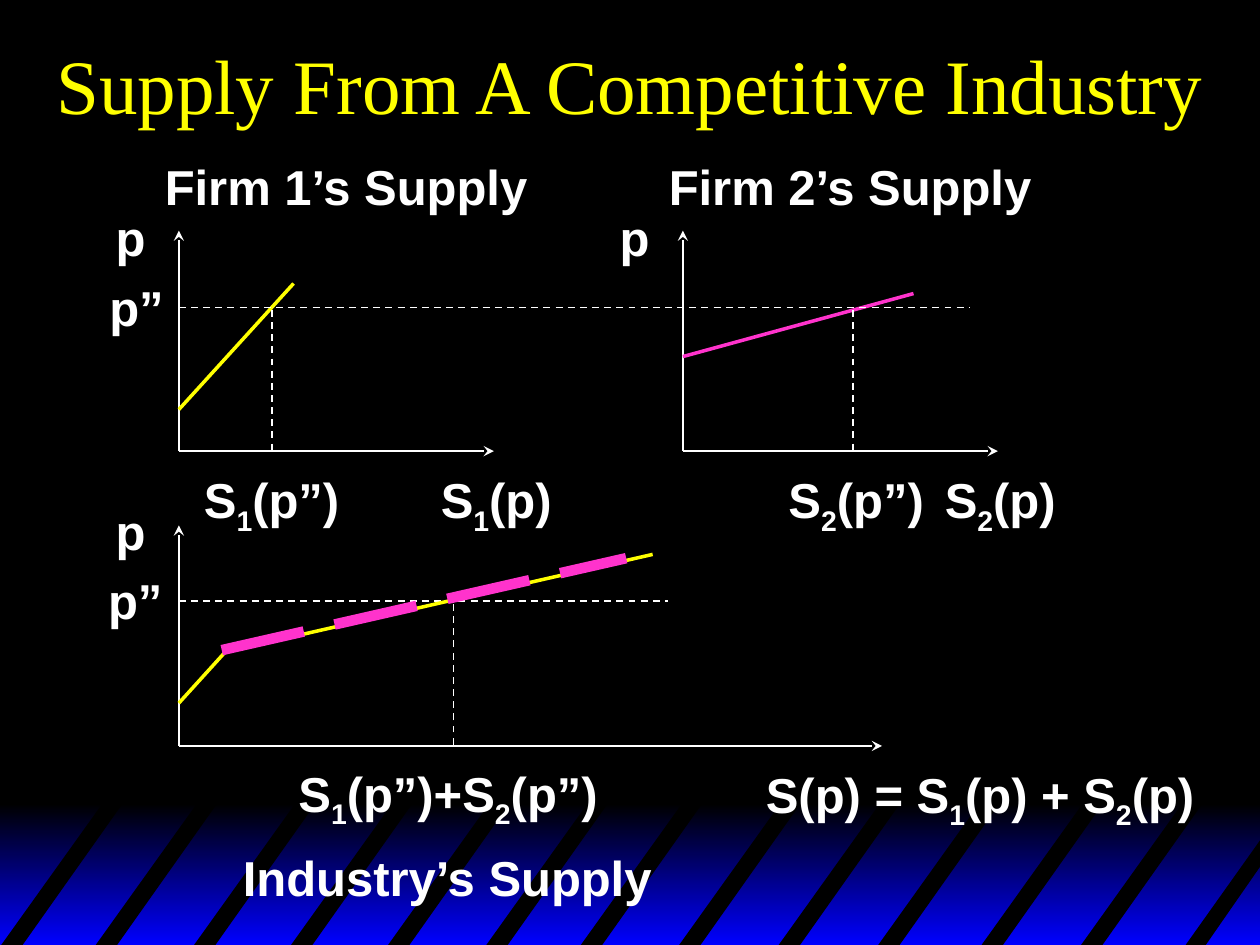
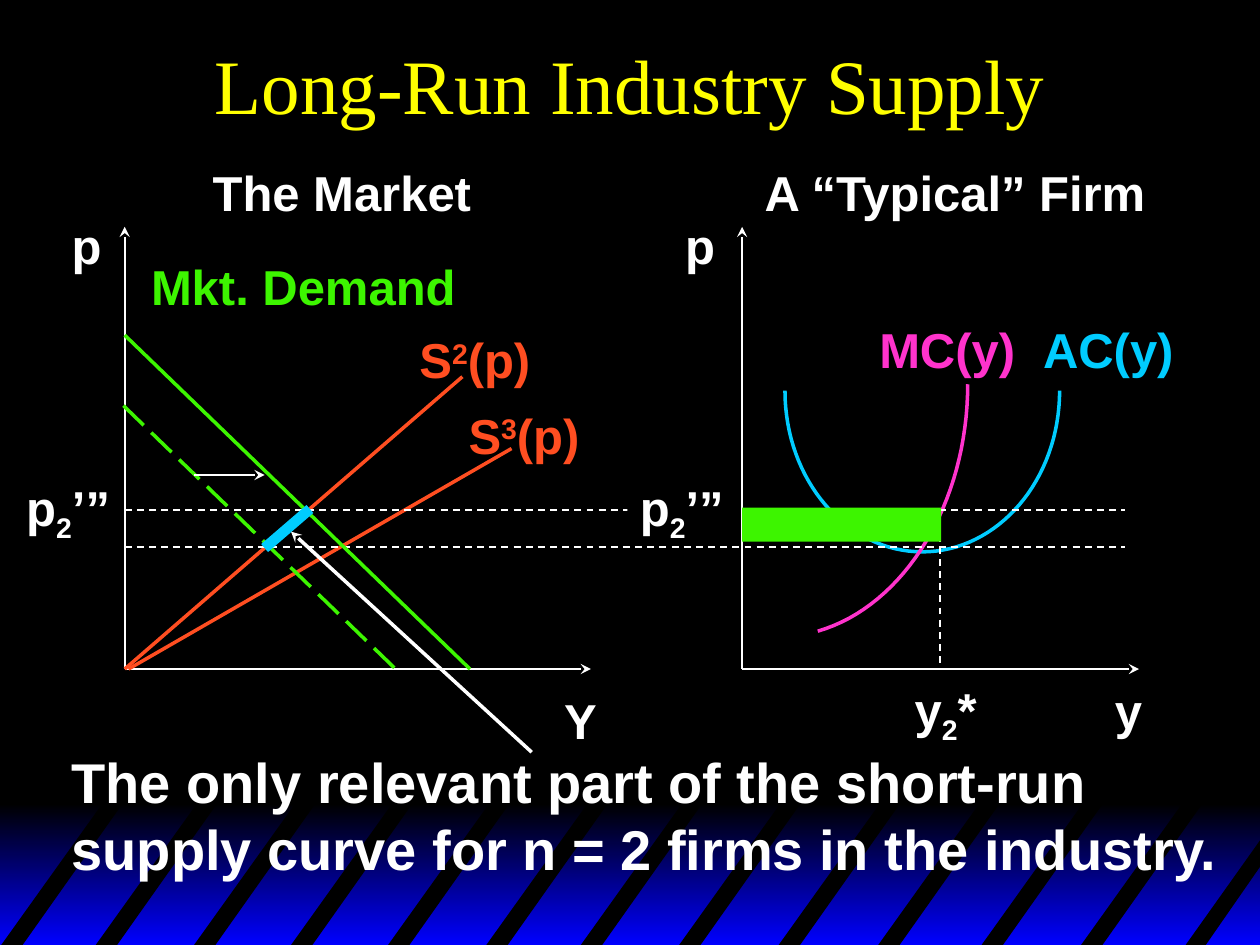
from lxml.etree import SubElement
from pptx import Presentation
from pptx.dml.color import RGBColor
from pptx.enum.dml import MSO_LINE
from pptx.enum.shapes import MSO_CONNECTOR, MSO_SHAPE
from pptx.enum.text import MSO_ANCHOR, MSO_AUTO_SIZE, PP_ALIGN
from pptx.oxml.ns import qn
from pptx.util import Inches, Pt

BLACK = RGBColor(0x00, 0x00, 0x00)
WHITE = RGBColor(0xFF, 0xFF, 0xFF)
BLUE = RGBColor(0x00, 0x00, 0xFF)
YELLOW = RGBColor(0xFF, 0xFF, 0x00)
PINK = RGBColor(0xFF, 0x33, 0xCC)
CYAN = RGBColor(0x00, 0xCC, 0xFF)
ORANGE = RGBColor(0xFF, 0x4E, 0x21)
GREEN = RGBColor(0x3D, 0xF5, 0x00)

BODY_FONT = "Arial"
TITLE_FONT = "Times New Roman"
BASELINES = {"_": "-25000", "^": "30000"}
STRIPE_LEFTS = (0, 0.75, 1.53, 2.3, 3.07, 3.85, 4.6, 5.38, 6.17, 6.96, 7.78, 8.57)
BAND_TOP, SLIDE_WIDTH, SLIDE_HEIGHT = 6.38, 10, 7.5


def add_text(slide, text, left, top, width, height=0.57, size=28, color=WHITE,
             font=BODY_FONT, bold=True, wrap=False, align=PP_ALIGN.LEFT,
             anchor=MSO_ANCHOR.TOP, fill=None):
    """Write text; between bars, _x is a subscript and ^x a superscript."""
    box = slide.shapes.add_textbox(Inches(left), Inches(top), Inches(width), Inches(height))
    if fill is not None:
        box.fill.solid()
        box.fill.fore_color.rgb = fill
    frame = box.text_frame
    frame.word_wrap = wrap
    frame.auto_size = MSO_AUTO_SIZE.NONE if wrap else MSO_AUTO_SIZE.SHAPE_TO_FIT_TEXT
    frame.vertical_anchor = anchor
    para = frame.paragraphs[0]
    para.alignment = align
    for number, line in enumerate(text.split("\n")):
        if number:
            para.add_line_break()
        for piece in line.split("|"):
            baseline = BASELINES.get(piece[0])
            span = para.add_run()
            span.text = piece[1:] if baseline else piece
            span.font.size = Pt(size)
            span.font.name = font
            span.font.bold = bold
            span.font.color.rgb = color
            if baseline:
                span.font._element.set("baseline", baseline)


def add_line(slide, start, end, color=WHITE, width=1, dash=None, arrow=False):
    line = slide.shapes.add_connector(
        MSO_CONNECTOR.STRAIGHT, *(Inches(value) for value in (*start, *end)))
    line.line.color.rgb = color
    line.line.width = Pt(width)
    if dash is not None:
        line.line.dash_style = dash
    if arrow:
        SubElement(line.line._get_or_add_ln(), qn("a:tailEnd"), type="stealth")
    SubElement(line._element.spPr, qn("a:effectLst"))


def add_guide(slide, start, end):
    add_line(slide, start, end, dash=MSO_LINE.DASH)


def add_axes(slide, left, top, right, bottom):
    for end in ((left, top), (right, bottom)):
        add_line(slide, (left, bottom), end, arrow=True)


def add_outline(slide, points, close):
    corners = [(Inches(x), Inches(y)) for x, y in points]
    builder = slide.shapes.build_freeform(*corners[0])
    builder.add_line_segments(corners[1:], close=close)
    shape = builder.convert_to_shape()
    shape.shadow.inherit = False
    return shape


def add_stripe(slide, points):
    stripe = add_outline(slide, points, close=True)
    stripe.fill.solid()
    stripe.fill.fore_color.rgb = BLACK
    stripe.line.fill.background()


def bezier(start, control_1, control_2, end, steps=32):
    """Return points along a cubic curve."""
    points = []
    for step in range(steps + 1):
        t = step / steps
        weights = ((1 - t) ** 3, 3 * t * (1 - t) ** 2, 3 * t ** 2 * (1 - t), t ** 3)
        points.append(tuple(
            sum(weight * value for weight, value in zip(weights, values))
            for values in zip(start, control_1, control_2, end)))
    return points


def add_curve(slide, points, color):
    curve = add_outline(slide, points, close=False)
    curve.fill.background()
    curve.line.color.rgb = color
    curve.line.width = Pt(2)


def add_rectangle(slide, left, top, width, height):
    shape = slide.shapes.add_shape(
        MSO_SHAPE.RECTANGLE, Inches(left), Inches(top), Inches(width), Inches(height))
    shape.shadow.inherit = False
    shape.line.fill.background()
    return shape


def add_band(slide):
    band = add_rectangle(slide, 0, BAND_TOP, SLIDE_WIDTH, SLIDE_HEIGHT - BAND_TOP)
    band.fill.gradient()
    band.fill.gradient_angle = 270
    for stop, color in zip(band.fill.gradient_stops, (BLACK, BLUE)):
        stop.color.rgb = color
    for left in STRIPE_LEFTS:
        add_stripe(slide, [(left + 0.01, 7.5), (left + 0.84, 6.34),
                           (left + 1, 6.34), (left + 0.18, 7.5)])
    add_stripe(slide, [(9.41, 7.5), (10, 6.67), (10, 6.88), (9.57, 7.5)])


def add_page(deck, title):
    slide = deck.slides.add_slide(deck.slide_layouts[6])
    slide.background.fill.solid()
    slide.background.fill.fore_color.rgb = BLACK
    add_band(slide)
    add_text(slide, title, 0, 0, SLIDE_WIDTH, 1.33, size=44, color=YELLOW, font=TITLE_FONT,
             bold=False, wrap=True, align=PP_ALIGN.CENTER, anchor=MSO_ANCHOR.MIDDLE)
    return slide


def add_firm_supply(slide, firm, left, supply_start, supply_end, color, quantity, quantity_left):
    add_axes(slide, left, 1.83, left + 2.5, 3.58)
    add_line(slide, supply_start, supply_end, color, 2)
    add_text(slide, "p", left - 0.6, 1.6, 0.44)
    add_text(slide, f"S|_{firm}|(p)", left + 1.98, 3.68, 1.11)
    add_guide(slide, (quantity, 2.46), (quantity, 3.58))
    add_text(slide, f"S|_{firm}|(p”)", quantity_left, 3.68, 1.3)
    add_text(slide, f"Firm {firm}’s Supply", left - 0.21, 1.19, 3.1)


def add_industry_supply(slide):
    add_axes(slide, 1.42, 4.17, 7, 5.92)
    add_line(slide, (1.42, 5.58), (1.81, 5.15), YELLOW, 2)
    add_text(slide, "p", 0.82, 3.93, 0.44)
    add_text(slide, "p”", 0.76, 4.48, 0.63)
    add_text(slide, "S(p) = S|_1|(p) + S|_2|(p)", 5.98, 6.02, 3.65)
    add_guide(slide, (1.42, 4.77), (5.3, 4.77))
    add_guide(slide, (3.6, 5.91), (3.6, 4.76))
    add_line(slide, (1.81, 5.17), (5.18, 4.4), YELLOW, 2)
    add_line(slide, (1.76, 5.16), (4.97, 4.43), PINK, 6, dash=MSO_LINE.LONG_DASH)
    add_text(slide, "S|_1|(p”)+S|_2|(p”)", 2.27, 6.01, 2.63)
    add_text(slide, "Industry’s Supply", 1.83, 6.68, 3.47)


def build_competitive_supply(deck):
    slide = add_page(deck, "Supply From A Competitive Industry")
    add_firm_supply(slide, 1, 1.42, (1.42, 3.25), (2.33, 2.25), YELLOW, 2.16, 1.52)
    add_firm_supply(slide, 2, 5.42, (5.42, 2.83), (7.25, 2.33), PINK, 6.77, 6.16)
    add_guide(slide, (1.42, 2.44), (7.7, 2.44))
    add_text(slide, "p”", 0.77, 2.15, 0.63)
    add_industry_supply(slide)


def build_long_run_supply(deck):
    slide = add_page(deck, "Long-Run Industry Supply")
    add_axes(slide, 0.99, 1.8, 4.69, 5.31)
    add_axes(slide, 5.89, 1.8, 9.04, 5.31)

    average_cost = (bezier((8.41, 3.1), (8.41, 3.81), (7.92, 4.38), (7.32, 4.38))
                    + bezier((7.32, 4.38), (6.72, 4.38), (6.23, 3.81), (6.23, 3.1))[1:])
    marginal_cost = bezier((7.68, 3.05), (7.68, 3.99), (7.18, 4.81), (6.49, 5.01))
    add_curve(slide, average_cost, CYAN)
    add_curve(slide, marginal_cost, PINK)
    add_line(slide, (0.99, 5.31), (3.67, 2.99), ORANGE, 2)
    add_line(slide, (1.02, 5.31), (4.06, 3.56), ORANGE, 2)

    for text, left, top, width, color in (
        ("S|^2|(p)", 3.23, 2.57, 1.11, ORANGE),
        ("S|^3|(p)", 3.62, 3.17, 1.11, ORANGE),
        ("Mkt. Demand", 1.1, 1.99, 2.62, GREEN),
        ("AC(y)", 8.18, 2.49, 1.24, CYAN),
        ("MC(y)", 6.88, 2.49, 1.28, PINK),
        ("y", 8.75, 5.35, 0.42, WHITE),
        ("A “Typical” Firm", 5.97, 1.24, 3.27, WHITE),
        ("The Market", 1.59, 1.24, 2.26, WHITE),
        ("p", 0.47, 1.66, 0.44, WHITE),
        ("p", 5.34, 1.66, 0.44, WHITE),
        ("Y", 4.38, 5.43, 0.46, WHITE),
        ("y|_2|*", 7.16, 5.34, 0.72, WHITE),
    ):
        add_text(slide, text, left, top, width, color=color)

    add_guide(slide, (0.99, 4.05), (8.93, 4.05))
    add_guide(slide, (7.46, 4.05), (7.46, 5.31))
    profit = add_rectangle(slide, 5.89, 4.03, 1.58, 0.27)
    profit.fill.solid()
    profit.fill.fore_color.rgb = GREEN
    add_line(slide, (0.98, 3.22), (3.14, 5.31), GREEN, 2, dash=MSO_LINE.LONG_DASH)
    add_line(slide, (1.54, 3.77), (2.1, 3.77), arrow=True)
    add_text(slide, "The only relevant part of the short-run\n"
             "supply curve for n = 2 firms in the industry.", 0.47, 5.88, 9.31, 1.17, size=32)
    add_guide(slide, (0.99, 4.34), (8.93, 4.34))
    add_line(slide, (0.99, 2.66), (3.73, 5.31), GREEN, 2)
    add_line(slide, (2.1, 4.35), (2.46, 4.04), CYAN, 6)
    add_line(slide, (4.22, 5.97), (2.31, 4.22), width=2, arrow=True)
    add_text(slide, "p|_2|’”", 0.11, 3.74, 0.89)
    add_text(slide, "p|_2|’”", 4.98, 3.74, 0.89, fill=BLACK)


def main():
    deck = Presentation()
    deck.slide_width = Inches(SLIDE_WIDTH)
    deck.slide_height = Inches(SLIDE_HEIGHT)
    build_competitive_supply(deck)
    build_long_run_supply(deck)
    deck.save("out.pptx")


if __name__ == "__main__":
    main()
